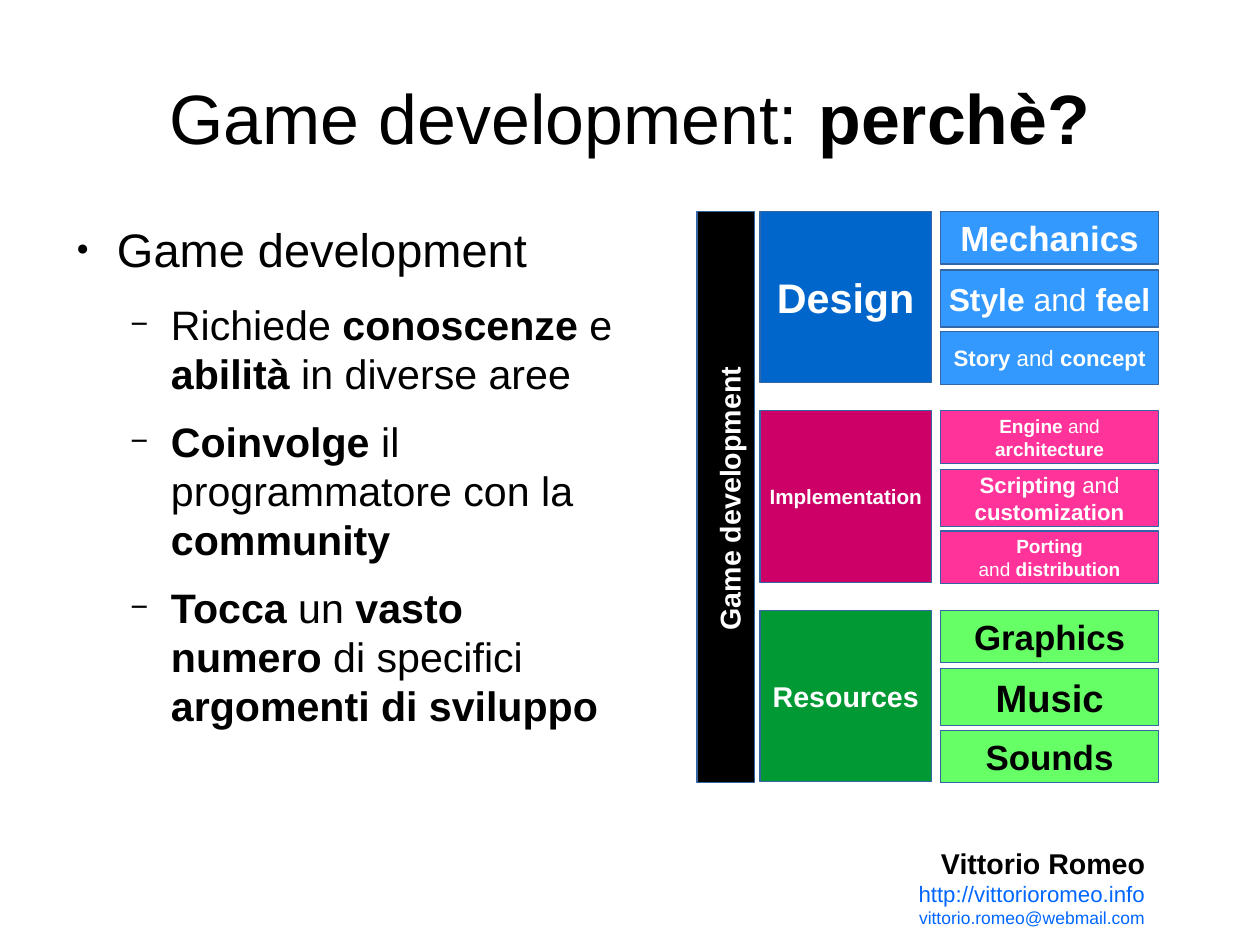
"""Build the slide "Game development: perchè?" with its diagram of areas."""
from lxml.etree import SubElement
from pptx import Presentation
from pptx.dml.color import RGBColor
from pptx.enum.shapes import MSO_SHAPE
from pptx.enum.text import MSO_ANCHOR, PP_ALIGN
from pptx.oxml.ns import qn
from pptx.util import Cm, Pt


def write(frame, lines, align, wrap=True, anchor=MSO_ANCHOR.TOP):
    """Write (text, size, colour) lines; asterisks enclose bold text."""
    frame.word_wrap = wrap
    frame.vertical_anchor = anchor
    for index, (text, size, color) in enumerate(lines):
        paragraph = frame.paragraphs[0] if index == 0 else frame.add_paragraph()
        paragraph.alignment = align
        for part, words in enumerate(text.split("*")):
            if words:
                run = paragraph.add_run()
                run.text = words
                run.font.name = "Arial"
                run.font.size = Pt(size)
                run.font.bold = part % 2 == 1
                run.font.color.rgb = RGBColor.from_string(color)


def add_block(left, top, width, height, color):
    """Add a filled rectangle with a hairline border."""
    shape = slide.shapes.add_shape(
        MSO_SHAPE.RECTANGLE, Cm(left), Cm(top), Cm(width), Cm(height))
    shape.shadow.inherit = False
    shape.fill.solid()
    shape.fill.fore_color.rgb = RGBColor.from_string(color)
    shape.line.color.rgb = RGBColor.from_string("3465A4")
    shape.line.width = Pt(0)
    return shape


presentation = Presentation()
presentation.slide_width = Cm(28)
presentation.slide_height = Cm(21)
slide = presentation.slides.add_slide(presentation.slide_layouts[6])

footer = slide.shapes.add_textbox(Cm(19), Cm(18.67), Cm(6.7), Cm(1.96))
write(footer.text_frame, [
    ("*Vittorio Romeo*", 18, "000000"),
    ("http://vittorioromeo.info", 14, "0066FF"),
    ("vittorio.romeo@webmail.com", 11, "0066FF"),
], PP_ALIGN.RIGHT)

title = slide.shapes.add_textbox(Cm(1.4), Cm(0.84), Cm(25.2), Cm(3.5))
write(title.text_frame, [("Game development: *perchè?*", 44, "000000")],
      PP_ALIGN.CENTER, anchor=MSO_ANCHOR.MIDDLE)

body = slide.shapes.add_textbox(Cm(1.4), Cm(4.9), Cm(12.3), Cm(12.17))
write(body.text_frame, [
    ("Game development", 29.6, "000000"),
    ("Richiede *conoscenze* e *abilità* in diverse aree", 25.9, "000000"),
    ("*Coinvolge* il programmatore con la *community*", 25.9, "000000"),
    ("*Tocca* un *vasto numero* di specifici *argomenti di sviluppo*",
     25.9, "000000"),
], PP_ALIGN.LEFT)

for frame in (title.text_frame, body.text_frame):
    frame.margin_left = frame.margin_right = 0
    frame.margin_top = frame.margin_bottom = 0

for index, paragraph in enumerate(body.text_frame.paragraphs):
    level = min(index, 1)
    paragraph.level = level
    paragraph.space_after = Pt((14.2, 11.3)[level])
    properties = paragraph._p.get_or_add_pPr()
    properties.set("marL", str(Cm(1.2 * (level + 1))))
    properties.set("indent", str(Cm(-0.9)))
    SubElement(properties, qn("a:buSzPct"), val=("45000", "75000")[level])
    SubElement(properties, qn("a:buFont"), typeface="Arial")
    SubElement(properties, qn("a:buChar"), char="●−"[level])

add_block(15.49, 4.7, 1.27, 12.7, "000000")
bar_label = slide.shapes.add_textbox(Cm(12.04), Cm(10.24), Cm(9), Cm(1.68))
bar_label.rotation = 270
write(bar_label.text_frame, [("*Game development*", 18, "FFFFFF")],
      PP_ALIGN.CENTER)

areas = [
    ("*Design*", 26, "0066CC", "3399FF", "FFFFFF", [
        (["*Mechanics*"], 22),
        (["*Style* and *feel*"], 20),
        (["*Story* and *concept*"], 14)]),
    ("*Implementation*", 13, "CC0066", "FF3399", "FFFFFF", [
        (["*Engine* and", "*architecture*"], 12),
        (["*Scripting* and", "*customization*"], 14),
        (["*Porting*", "and *distribution*"], 12)]),
    ("*Resources*", 18, "009933", "66FF66", "000000", [
        (["*Graphics*"], 22),
        (["*Music*"], 24),
        (["*Sounds*"], 22)]),
]
topic_rows = [(0, 1.17), (1.3, 1.27), (2.67, 1.17)]

for index, (name, size, dark, light, text_color, topics) in enumerate(areas):
    top = 4.7 + 4.43 * index
    area = add_block(16.89, top, 3.81, 3.81, dark)
    write(area.text_frame, [(name, size, "FFFFFF")],
          PP_ALIGN.CENTER, False, MSO_ANCHOR.MIDDLE)
    for (offset, height), (lines, topic_size) in zip(topic_rows, topics):
        topic = add_block(20.9, top + offset, 4.85, height, light)
        write(topic.text_frame,
              [(line, topic_size, text_color) for line in lines],
              PP_ALIGN.CENTER, False, MSO_ANCHOR.MIDDLE)

presentation.save("out.pptx")
